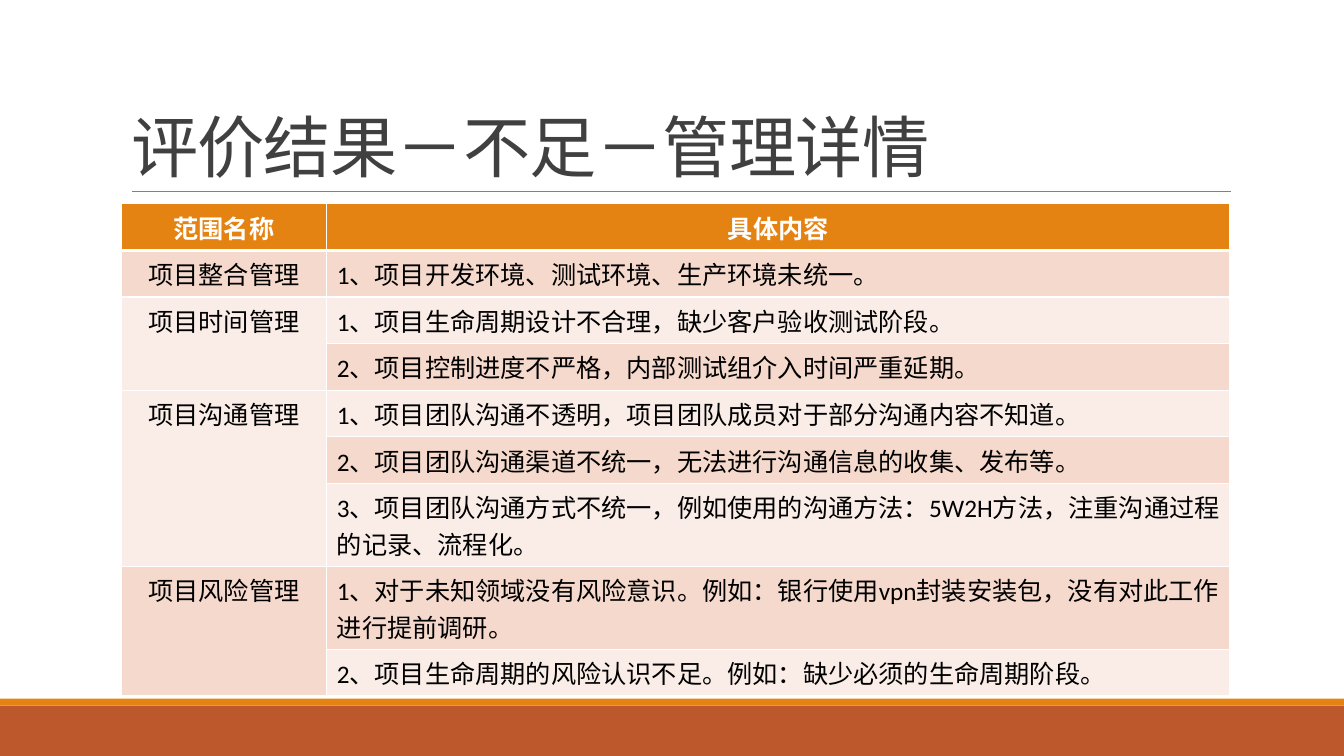
import pptx
import pptx.util
import pptx.dml.color
import pptx.enum.shapes
import pptx.enum.text
import pptx.oxml.ns
import lxml.etree
from dataclasses import dataclass

Pt = pptx.util.Pt
ALIGN = pptx.enum.text.PP_ALIGN
ANCHOR = pptx.enum.text.MSO_ANCHOR


@dataclass(frozen=True)
class Theme:
    font: str = "Calibri"
    title_size: float = 48
    table_size: float = 18
    title: str = "404040"
    text: str = "000000"
    white: str = "FFFFFF"
    orange: str = "E48312"
    rust: str = "BD582C"
    rule: str = "808080"
    bands: tuple = ("F5D9CC", "FAEDE7")


THEME = Theme()
WIDTH, HEIGHT = 960, 540
HEADINGS = ("范围名称", "具体内容")
FINDINGS = {
    "项目整合管理": ["项目开发环境、测试环境、生产环境未统一。"],
    "项目时间管理": [
        "项目生命周期设计不合理，缺少客户验收测试阶段。",
        "项目控制进度不严格，内部测试组介入时间严重延期。",
    ],
    "项目沟通管理": [
        "项目团队沟通不透明，项目团队成员对于部分沟通内容不知道。",
        "项目团队沟通渠道不统一，无法进行沟通信息的收集、发布等。",
        "项目团队沟通方式不统一，例如使用的沟通方法：5W2H方法，注重沟通过程的记录、流程化。",
    ],
    "项目风险管理": [
        "对于未知领域没有风险意识。例如：银行使用vpn封装安装包，没有对此工作进行提前调研。",
        "项目生命周期的风险认识不足。例如：缺少必须的生命周期阶段。",
    ],
}


def rgb(value):
    return pptx.dml.color.RGBColor.from_string(value)


def add_xml(parent, tag, **attributes):
    return lxml.etree.SubElement(parent, pptx.oxml.ns.qn(tag), attributes)


def write(frame, text, size=THEME.table_size, color=THEME.text, bold=False,
          align=ALIGN.LEFT, line_spacing=None, tracking=None):
    paragraph = frame.paragraphs[0]
    paragraph.alignment = align
    paragraph.line_spacing = line_spacing
    run = paragraph.add_run()
    run.text = text
    run.font.name = THEME.font
    run.font.size = Pt(size)
    run.font.bold = bold
    run.font.color.rgb = rgb(color)
    if tracking is not None:
        run.font._element.set("spc", str(round(tracking * 100)))


def add_bar(slide, top, height, color):
    bar = slide.shapes.add_shape(pptx.enum.shapes.MSO_SHAPE.RECTANGLE,
                                 0, Pt(top), Pt(WIDTH), Pt(height))
    bar.shadow.inherit = False
    bar.fill.solid()
    bar.fill.fore_color.rgb = rgb(color)
    bar.line.fill.background()


def add_rule(slide, left, right, top):
    rule = slide.shapes.add_connector(pptx.enum.shapes.MSO_CONNECTOR.STRAIGHT,
                                      Pt(left), Pt(top), Pt(right), Pt(top))
    rule.line.color.rgb = rgb(THEME.rule)
    rule.line.width = Pt(0.5)
    add_xml(rule._element.spPr, "a:effectLst")


def set_title(slide, text):
    title = slide.shapes.title
    title.left, title.top = Pt(86.4), Pt(22.6)
    title.width, title.height = Pt(792), Pt(114.2)
    frame = title.text_frame
    frame.word_wrap = True
    frame.auto_size = pptx.enum.text.MSO_AUTO_SIZE.NONE
    frame.vertical_anchor = ANCHOR.BOTTOM
    write(frame, text, size=THEME.title_size, color=THEME.title,
          line_spacing=0.85, tracking=-0.5)


def style_cell(cell, fill, top=1, bottom=1):
    properties = cell._tc.get_or_add_tcPr()
    for side, width in (("L", 1), ("R", 1), ("T", top), ("B", bottom)):
        border = add_xml(properties, f"a:ln{side}", w=str(Pt(width)))
        add_xml(add_xml(border, "a:solidFill"), "a:srgbClr", val=THEME.white)
    cell.fill.solid()
    cell.fill.fore_color.rgb = rgb(fill)


def add_findings(slide):
    row_count = 1 + sum(map(len, FINDINGS.values()))
    row_height = 29.2
    table = slide.shapes.add_table(row_count, 2, Pt(86.4), Pt(145.6), Pt(792),
                                   Pt(row_height * row_count)).table
    for column, width in zip(table.columns, (147, 645)):
        column.width = Pt(width)
    for row in table.rows:
        row.height = Pt(row_height)

    # Heading row
    for column, heading in enumerate(HEADINGS):
        cell = table.cell(0, column)
        style_cell(cell, THEME.orange, bottom=3)
        write(cell.text_frame, heading, color=THEME.white, bold=True,
              align=ALIGN.CENTER)

    # One merged area cell beside its numbered findings
    row = 1
    for area, findings in FINDINGS.items():
        first = row
        area_fill = THEME.bands[(first - 1) % 2]
        for number, finding in enumerate(findings, 1):
            top = 3 if row == 1 else 1
            style_cell(table.cell(row, 0), area_fill, top=top)
            detail = table.cell(row, 1)
            style_cell(detail, THEME.bands[(row - 1) % 2], top=top)
            write(detail.text_frame, f"{number}、{finding}")
            row += 1
        area_cell = table.cell(first, 0)
        if len(findings) > 1:
            area_cell.merge(table.cell(row - 1, 0))
        write(area_cell.text_frame, area, align=ALIGN.CENTER)


def main():
    deck = pptx.Presentation()
    deck.slide_width, deck.slide_height = Pt(WIDTH), Pt(HEIGHT)
    slide = deck.slides.add_slide(deck.slide_layouts[5])

    # Footer bands and title rule
    add_bar(slide, 504, 36, THEME.rust)
    add_bar(slide, 499, 5, THEME.orange)
    add_rule(slide, 94, 879, 136.8)

    # Title and findings table
    set_title(slide, "评价结果－不足－管理详情")
    add_findings(slide)
    deck.save("out.pptx")


main()
